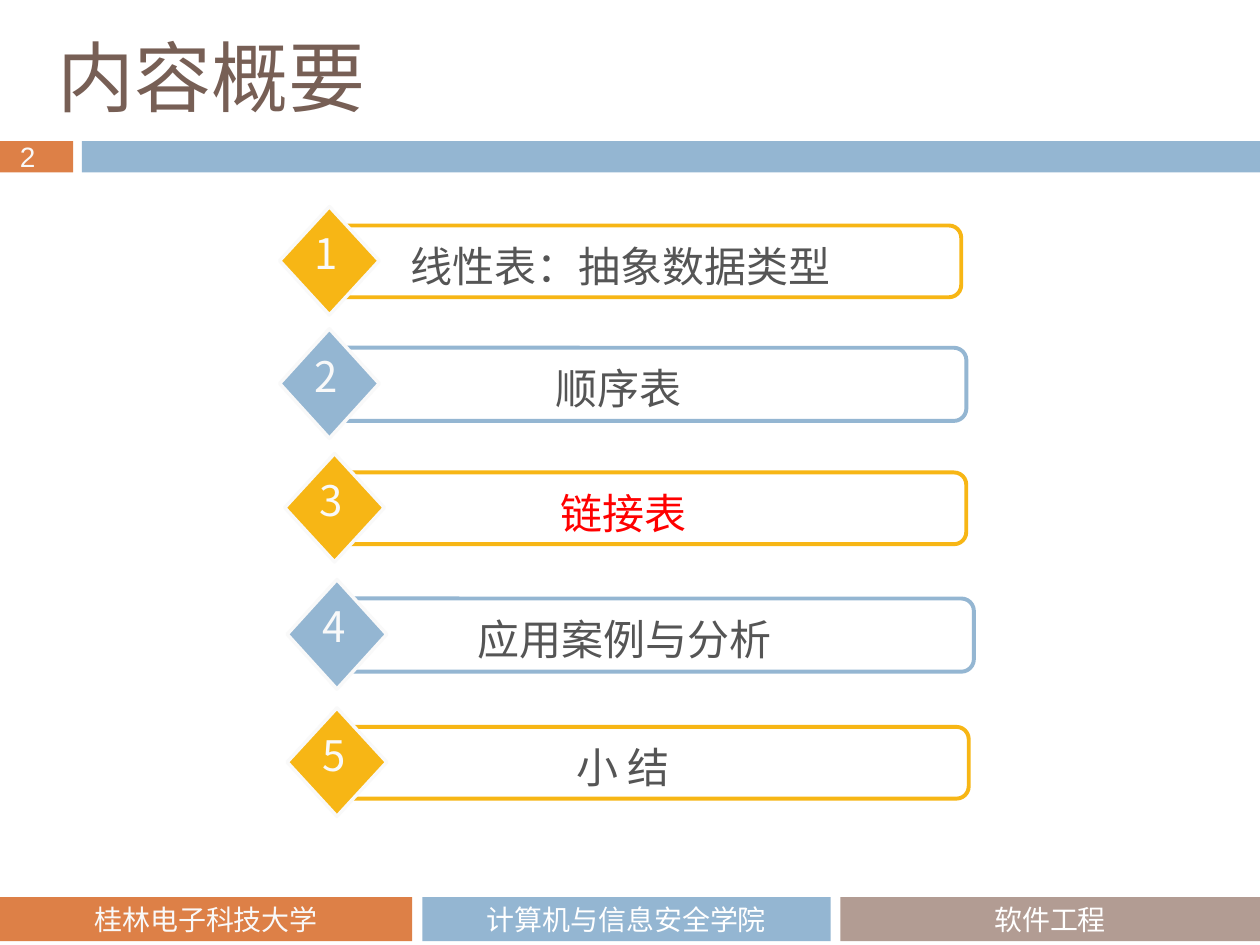
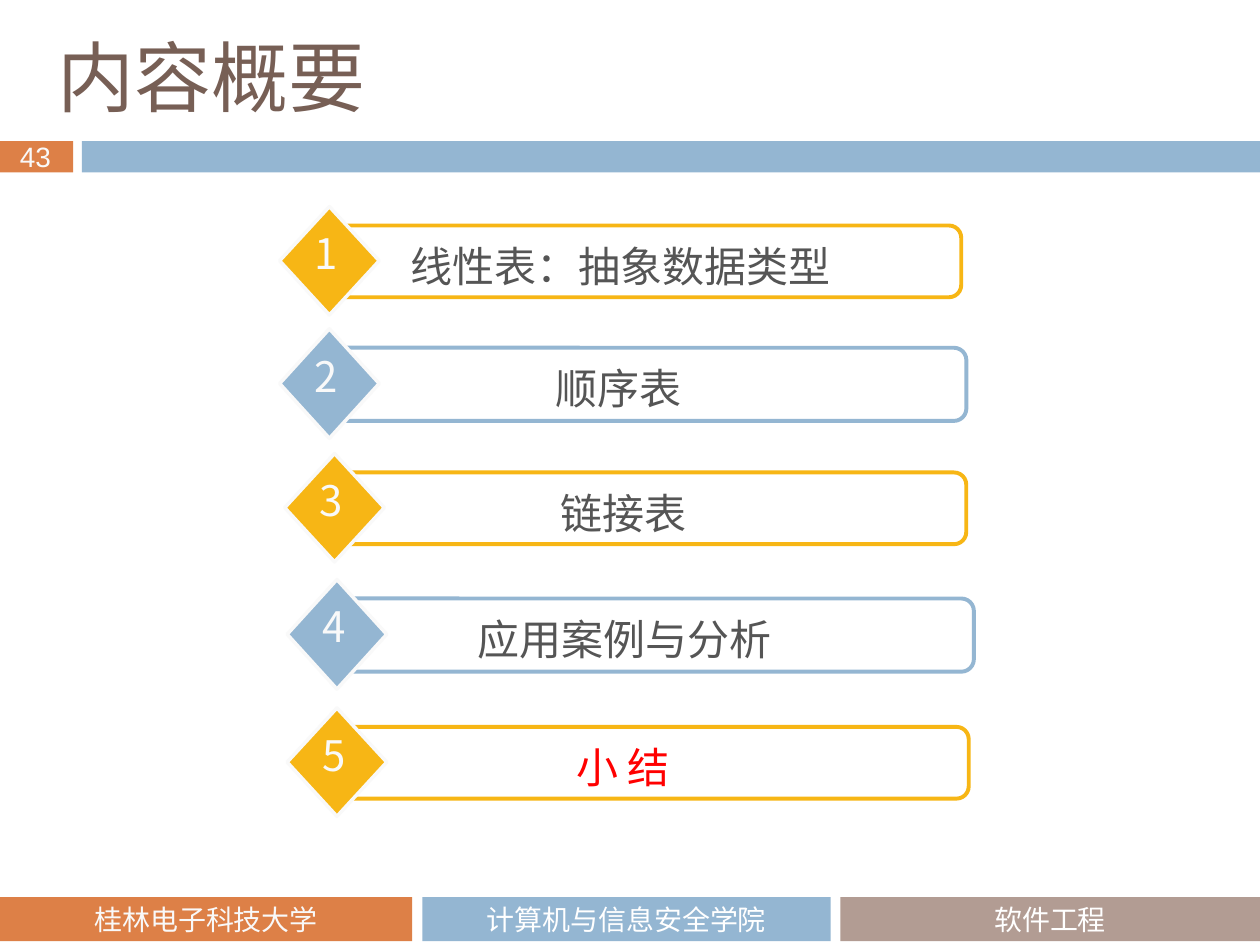
from dataclasses import dataclass

import lxml.etree
import pptx
import pptx.dml.color
import pptx.enum.shapes
import pptx.enum.text
import pptx.oxml.ns
import pptx.presentation
import pptx.shapes.autoshape
import pptx.slide
import pptx.text.text
import pptx.util

Pt = pptx.util.Pt
Shape = pptx.enum.shapes.MSO_SHAPE
Align = pptx.enum.text.PP_ALIGN
Anchor = pptx.enum.text.MSO_ANCHOR
AutoSize = pptx.enum.text.MSO_AUTO_SIZE


@dataclass(frozen=True)
class Theme:
    orange: str = "DD8047"
    blue: str = "94B6D2"
    taupe: str = "B29C93"
    gold: str = "F7B615"
    brown: str = "775F55"
    grey: str = "555555"
    red: str = "FF0000"
    white: str = "FFFFFF"
    off_white: str = "F9F9F9"
    title_font: str = "Noto Sans CJK JP"
    agenda_font: str = "Noto Sans CJK SC"
    footer_font: str = "Calibri"
    number_font: str = "Arial"
    title_size: float = 44
    agenda_size: float = 24
    small_size: float = 16
    frame_line: float = 2.25
    diamond_line: float = 2


THEME = Theme()


@dataclass(frozen=True)
class Area:
    left: float
    top: float
    width: float
    height: float

    def lengths(self) -> tuple[pptx.util.Length, ...]:
        return Pt(self.left), Pt(self.top), Pt(self.width), Pt(self.height)


@dataclass(frozen=True)
class TextStyle:
    font: str
    size: float
    color: str
    align: Align = Align.CENTER


@dataclass(frozen=True)
class FooterPart:
    text: str
    left: float
    width: float
    fill: str
    text_color: str


@dataclass(frozen=True)
class AgendaItem:
    """One agenda row; label_shift is measured from the frame's left edge."""
    text: str
    left: float
    top: float
    label_shift: float
    label_width: float


@dataclass(frozen=True)
class RowStyle:
    color: str
    frame_width: float
    frame_height: float
    diamond_height: float


@dataclass(frozen=True)
class AgendaPage:
    number: int
    current_item: int


TITLE = "内容概要"
TITLE_AREA = Area(25.9, 19.4, 408.2, 47.5)
NUMBER_BAND = Area(0, 80.6, 41.8, 18)
TITLE_BAND = Area(46.8, 80.6, 673.2, 18)
NUMBER_AREA = Area(4.3, 76.3, 34.6, 26.6)
FOOTER_TOP, FOOTER_HEIGHT = 512.6, 25.2

FOOTER = [
    FooterPart("桂林电子科技大学", 0, 235.6, THEME.orange, THEME.off_white),
    FooterPart("计算机与信息安全学院", 241.4, 233.2, THEME.blue, THEME.white),
    FooterPart("软件工程", 480.2, 239.8, THEME.taupe, THEME.white),
]
AGENDA = [
    AgendaItem("线性表：抽象数据类型", 191.5, 128.9, 21.4, 283),
    AgendaItem("顺序表", 191.5, 198.7, 38.9, 245.5),
    AgendaItem("链接表", 194.4, 270, 18.7, 286.6),
    AgendaItem("应用案例与分析", 195.8, 342, 18.7, 284.4),
    AgendaItem("小 结", 195.8, 415.4, 18.7, 283),
]
ROW_STYLES = [
    RowStyle(THEME.gold, 357.8, 41, 61.9),
    RowStyle(THEME.blue, 360.7, 41.8, 62.6),
]
PAGES = [AgendaPage(2, 3), AgendaPage(43, 5)]


def rgb(color: str) -> pptx.dml.color.RGBColor:
    return pptx.dml.color.RGBColor.from_string(color)


def write(frame: pptx.text.text.TextFrame, text: str, style: TextStyle) -> None:
    para = frame.paragraphs[0]
    para.alignment = style.align
    span = para.add_run()
    span.text = text
    span.font.size = Pt(style.size)
    span.font.color.rgb = rgb(style.color)
    span.font.name = style.font
    # East Asian glyphs need their own typeface entry.
    lxml.etree.SubElement(span.font._element, pptx.oxml.ns.qn("a:ea"), typeface=style.font)


def add_panel(page: pptx.slide.Slide, kind: Shape, area: Area, fill: str | None = None,
              line: str | None = None, line_width: float = 0) -> pptx.shapes.autoshape.Shape:
    panel = page.shapes.add_shape(kind, *area.lengths())
    panel.shadow.inherit = False
    if fill:
        panel.fill.solid()
        panel.fill.fore_color.rgb = rgb(fill)
    else:
        panel.fill.background()
    if line:
        panel.line.color.rgb = rgb(line)
        panel.line.width = Pt(line_width)
    else:
        panel.line.fill.background()
    return panel


def add_text(page: pptx.slide.Slide, area: Area, text: str, style: TextStyle,
             wrap: bool = False) -> None:
    box = page.shapes.add_textbox(*area.lengths())
    box.text_frame.word_wrap = wrap
    box.text_frame.auto_size = AutoSize.SHAPE_TO_FIT_TEXT
    write(box.text_frame, text, style)


def add_bands(page: pptx.slide.Slide, number: int) -> None:
    """Draw the number band, title band and footer shared by all pages."""
    add_panel(page, Shape.RECTANGLE, NUMBER_BAND, THEME.orange)
    add_panel(page, Shape.RECTANGLE, TITLE_BAND, THEME.blue)
    for part in FOOTER:
        area = Area(part.left, FOOTER_TOP, part.width, FOOTER_HEIGHT)
        panel = add_panel(page, Shape.RECTANGLE, area, part.fill)
        panel.text_frame.vertical_anchor = Anchor.MIDDLE
        write(panel.text_frame, part.text,
              TextStyle(THEME.footer_font, THEME.small_size, part.text_color))
    add_text(page, NUMBER_AREA, str(number),
             TextStyle(THEME.number_font, THEME.small_size, THEME.off_white, Align.LEFT))


def set_title(page: pptx.slide.Slide, text: str) -> None:
    title = page.shapes.title
    title.left, title.top, title.width, title.height = TITLE_AREA.lengths()
    title.text_frame.auto_size = AutoSize.NONE
    title.text_frame.vertical_anchor = Anchor.MIDDLE
    write(title.text_frame, text,
          TextStyle(THEME.title_font, THEME.title_size, THEME.brown, Align.LEFT))


def add_agenda_row(page: pptx.slide.Slide, number: int, item: AgendaItem, current: bool) -> None:
    row = ROW_STYLES[(number - 1) % len(ROW_STYLES)]
    frame_area = Area(item.left, item.top, row.frame_width, row.frame_height)
    diamond_area = Area(item.left - 31.7, item.top - 10.8, 56.9, row.diamond_height)
    label_area = Area(item.left + item.label_shift, item.top + 5, item.label_width, 36)
    number_area = Area(item.left - 18.7, item.top - 2.2, 26.6, 36)

    frame = add_panel(page, Shape.ROUNDED_RECTANGLE, frame_area,
                      line=row.color, line_width=THEME.frame_line)
    frame.adjustments[0] = 0.17
    add_panel(page, Shape.DIAMOND, diamond_area, row.color, THEME.off_white, THEME.diamond_line)
    label_color = THEME.red if current else THEME.grey
    add_text(page, label_area, item.text,
             TextStyle(THEME.agenda_font, THEME.agenda_size, label_color), wrap=True)
    add_text(page, number_area, str(number),
             TextStyle(THEME.agenda_font, THEME.agenda_size, THEME.off_white))


def add_agenda_page(deck: pptx.presentation.Presentation, content: AgendaPage) -> None:
    title_only = deck.slide_layouts.get_by_name("Title Only")
    page = deck.slides.add_slide(title_only)
    add_bands(page, content.number)
    set_title(page, TITLE)
    for number, item in enumerate(AGENDA, start=1):
        add_agenda_row(page, number, item, number == content.current_item)


def main() -> None:
    deck = pptx.Presentation()
    deck.slide_width, deck.slide_height = Pt(720), Pt(540)
    for content in PAGES:
        add_agenda_page(deck, content)
    deck.save("out.pptx")


if __name__ == "__main__":
    main()
